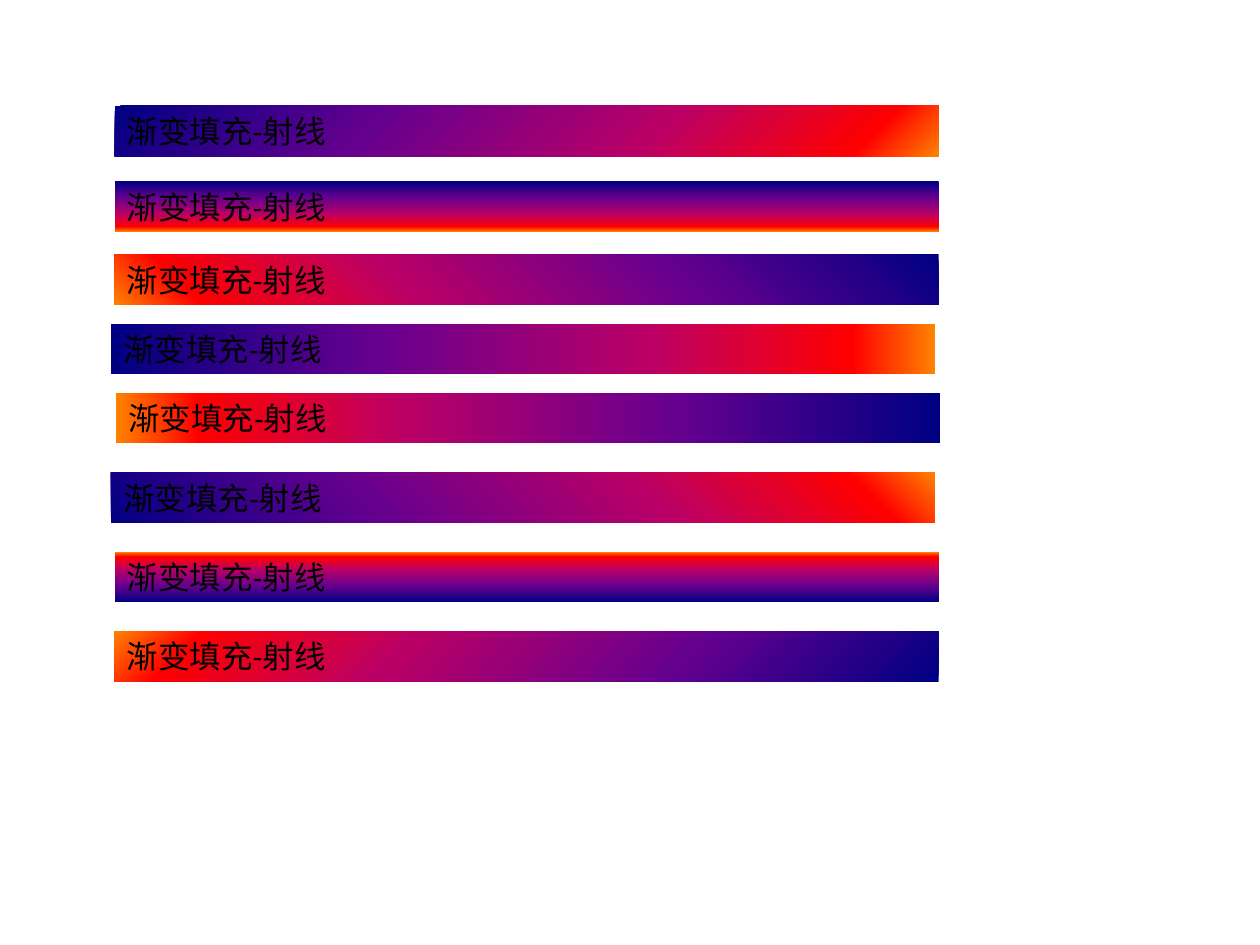
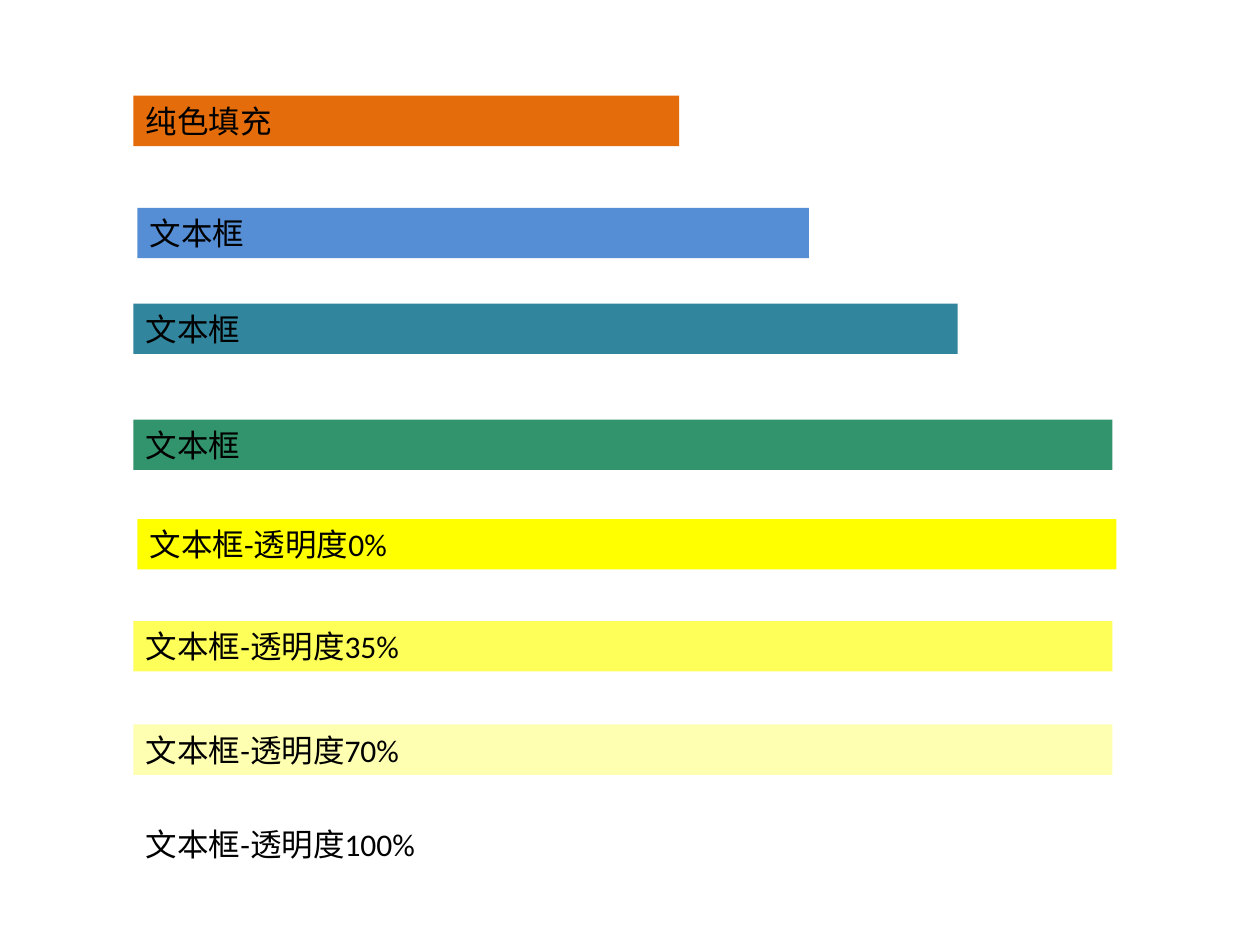
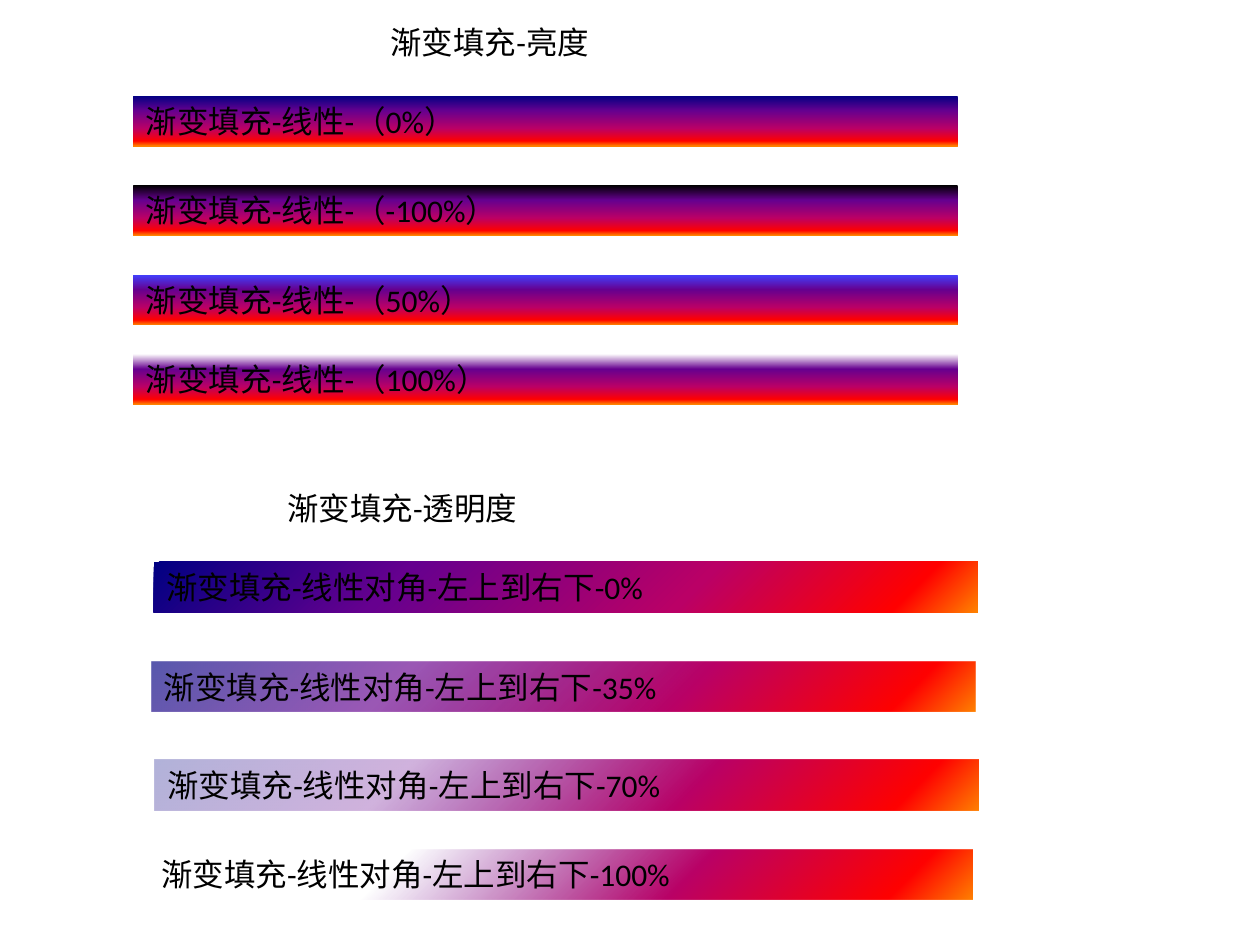
from lxml.etree import SubElement
from pptx import Presentation
from pptx.dml.color import RGBColor
from pptx.enum.text import MSO_AUTO_SIZE as AutoSize
from pptx.oxml.ns import qn
from pptx.util import Inches, Pt

BLACK = RGBColor(0x00, 0x00, 0x00)
WHITE = RGBColor(0xFF, 0xFF, 0xFF)
NAVY = RGBColor(0x00, 0x00, 0x82)
PERIWINKLE = RGBColor(0x41, 0x41, 0xFF)
PURPLE = RGBColor(0x66, 0x00, 0x8F)
CRIMSON = RGBColor(0xBA, 0x00, 0x66)
RED = RGBColor(0xFF, 0x00, 0x00)
AMBER = RGBColor(0xFF, 0x82, 0x00)
ORANGE = RGBColor(0xE4, 0x6C, 0x0A)
BLUE = RGBColor(0x55, 0x8E, 0xD5)
TEAL = RGBColor(0x31, 0x85, 0x9C)
GREEN = RGBColor(0x32, 0x94, 0x6C)
YELLOW = RGBColor(0xFF, 0xFF, 0x00)

FONT = "Calibri"
BAR_WIDTH = 6.54
WIDE_WIDTH = 7.77
HEADING_WIDTH = 4.29
BAR_HEIGHT = 0.4


def add_bar(page, text, left, top, width=BAR_WIDTH, color=None, opacity=100):
    box = page.shapes.add_textbox(Inches(left), Inches(top), Inches(width), Inches(BAR_HEIGHT))
    frame = box.text_frame
    frame.word_wrap = True
    frame.auto_size = AutoSize.SHAPE_TO_FIT_TEXT
    span = frame.paragraphs[0].add_run()
    span.text = text
    span.font.name = FONT
    span.font.size = Pt(18)
    span.font.color.rgb = BLACK
    if color is not None:
        box.fill.solid()
        box.fill.fore_color.rgb = color
        if opacity < 100:
            tint = next(box.element.iter(qn("a:srgbClr")))
            SubElement(tint, qn("a:alpha"), val=str(opacity * 1000))
    return box


def apply_gradient(box, angle, start=NAVY, second=32, opacity=100):
    box.fill.gradient()
    gradient = next(box.element.iter(qn("a:gradFill")))
    gradient.find(qn("a:lin")).set("ang", str(angle * 60000))
    stops = gradient.find(qn("a:gsLst"))
    for stop in list(stops):
        stops.remove(stop)
    for position, color, alpha in [
        (0, start, opacity),
        (second, PURPLE, opacity),
        (65, CRIMSON, 100),
        (90, RED, 100),
        (100, AMBER, 100),
    ]:
        stop = SubElement(stops, qn("a:gs"), pos=str(position * 1000))
        tint = SubElement(stop, qn("a:srgbClr"), val=str(color))
        if alpha < 100:
            SubElement(tint, qn("a:alpha"), val=str(alpha * 1000))


deck = Presentation()
deck.slide_width = Inches(10)
deck.slide_height = Inches(7.5)
blank = deck.slide_layouts[6]

page = deck.slides.add_slide(blank)
for left, top, angle in [
    (0.91, 0.84, 45),
    (0.91, 1.44, 90),
    (0.91, 2.02, 135),
    (0.88, 2.57, 0),
    (0.92, 3.12, 180),
    (0.88, 3.75, 315),
    (0.91, 4.38, 270),
    (0.91, 5.01, 225),
]:
    apply_gradient(add_bar(page, "渐变填充-射线", left, top), angle)

page = deck.slides.add_slide(blank)
for text, left, top, width, color in [
    ("纯色填充", 1.06, 0.76, 4.33, ORANGE),
    ("文本框", 1.09, 1.65, 5.33, BLUE),
    ("文本框", 1.06, 2.41, BAR_WIDTH, TEAL),
    ("文本框", 1.06, 3.33, WIDE_WIDTH, GREEN),
]:
    add_bar(page, text, left, top, width=width, color=color)
for left, top, clear in [(1.09, 4.12, 0), (1.06, 4.93, 35), (1.06, 5.75, 70)]:
    add_bar(page, f"文本框-透明度{clear}%", left, top,
            width=WIDE_WIDTH, color=YELLOW, opacity=100 - clear)
add_bar(page, "文本框-透明度100%", 1.06, 6.5, width=WIDE_WIDTH)

page = deck.slides.add_slide(blank)
add_bar(page, "渐变填充-亮度", 3, 0.13, width=HEADING_WIDTH)
for top, brightness, start in [
    (0.76, 0, NAVY),
    (1.47, -100, BLACK),
    (2.18, 50, PERIWINKLE),
    (2.81, 100, WHITE),
]:
    bar = add_bar(page, f"渐变填充-线性-（{brightness}%）", 1.06, top)
    apply_gradient(bar, 90, start=start, second=30)

add_bar(page, "渐变填充-透明度", 2.18, 3.83, width=HEADING_WIDTH)
for left, top, clear in [(1.22, 4.46, 0), (1.2, 5.25, 35), (1.23, 6.03, 70), (1.18, 6.74, 100)]:
    bar = add_bar(page, f"渐变填充-线性对角-左上到右下-{clear}%", left, top)
    apply_gradient(bar, 45, second=30, opacity=100 - clear)

deck.save("out.pptx")
